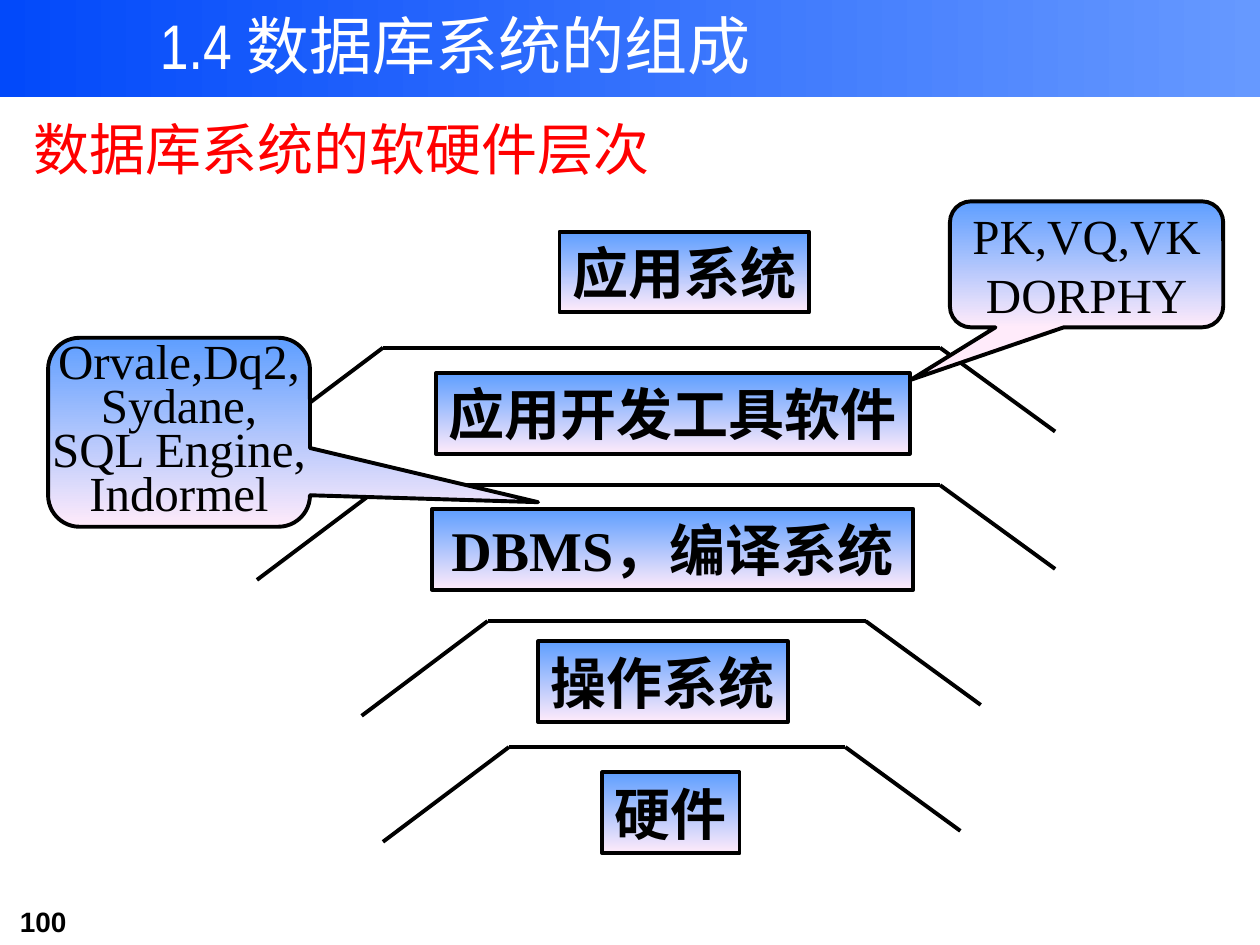
import pptx
import pptx.util
import pptx.dml.color
import pptx.enum.shapes
import pptx.enum.text
import pptx.oxml
import pptx.oxml.ns

Cm, Pt = pptx.util.Cm, pptx.util.Pt
SHAPE = pptx.enum.shapes.MSO_SHAPE
ALIGN = pptx.enum.text.PP_ALIGN
ANCHOR = pptx.enum.text.MSO_ANCHOR

COLORS = {"black": "000000", "white": "FFFFFF", "red": "FF0000",
          "band_left": "0249FA", "band_right": "6699FF",
          "box_top": "5E9EFF", "box_bottom": "FFEBFA"}
SERIF, CJK = "Times New Roman", "Noto Sans CJK SC"

TITLE = "1.4 数据库系统的组成"
SUBTITLE = "数据库系统的软硬件层次"
PAGE = "100"
LAYERS = [
    ("硬件", 12.14, 15.57, 2.77),
    ("操作系统", 10.85, 12.93, 5.03),
    ("DBMS，编译系统", 8.71, 10.26, 9.7),
    ("应用开发工具软件", 8.79, 7.52, 9.55),
    ("应用系统", 11.28, 4.67, 5.03),
]
LAYER_HEIGHT = 1.63
ROOFS = [(10.26, 17.04, 15.06), (9.83, 17.45, 12.52),
         (7.72, 18.95, 9.78), (7.72, 18.95, 7.01)]
LEFT_SLOPE, RIGHT_SLOPE = (-2.54, 1.91), (2.32, 1.69)
CALLOUTS = [
    (["PK,VQ,VK", "DORPHY"], (19.15, 4.06, 5.51, 2.54), (-0.644, 0.917, 0.167), 1.0),
    (["Orvale,Dq2,", "Sydane,", "SQL Engine,", "Indormel"],
     (0.97, 6.81, 5.28, 3.81), (1.371, 0.37, 0.167), 0.75),
]


def rgb(name):
    return pptx.dml.color.RGBColor.from_string(COLORS[name])


def shade(shape, start, end, angle):
    shape.shadow.inherit = False
    shape.fill.gradient()
    shape.fill.gradient_angle = angle
    for stop, name in zip(shape.fill.gradient_stops, (start, end)):
        stop.color.rgb = rgb(name)


def write(shape, lines, size, font=SERIF, color="black", bold=False,
          align=ALIGN.LEFT, anchor=ANCHOR.TOP, wrap=False, spacing=None):
    tf = shape.text_frame
    tf.text = "\n".join(lines)
    tf.word_wrap = wrap
    tf.auto_size = pptx.enum.text.MSO_AUTO_SIZE.NONE
    tf.vertical_anchor = anchor
    for p in tf.paragraphs:
        p.alignment = align
        p.line_spacing = spacing
        for r in p.runs:
            r.font.size, r.font.name, r.font.bold = Pt(size), font, bold
            r.font.color.rgb = rgb(color)
            ea = pptx.oxml.parse_xml(
                f'<a:ea {pptx.oxml.ns.nsdecls("a")} typeface="{CJK}"/>')
            r.font._element.append(ea)


def add_box(s, kind, place):
    sp = s.shapes.add_shape(kind, *map(Cm, place))
    shade(sp, "box_top", "box_bottom", 270)
    sp.line.color.rgb = rgb("black")
    sp.line.width = Pt(2.25)
    return sp


def add_line(s, x1, y1, x2, y2):
    line = s.shapes.add_connector(
        pptx.enum.shapes.MSO_CONNECTOR.STRAIGHT, Cm(x1), Cm(y1), Cm(x2), Cm(y2))
    line.line.color.rgb = rgb("black")
    line.line.width = Pt(2.25)
    line._element.spPr.append(
        pptx.oxml.parse_xml(f'<a:effectLst {pptx.oxml.ns.nsdecls("a")}/>'))


def add_header(s):
    band = s.shapes.add_shape(SHAPE.RECTANGLE, 0, 0, Cm(25.4), Cm(1.96))
    shade(band, "band_left", "band_right", 0)
    band.line.fill.background()
    s.shapes._spTree.insert(2, band._element)
    title = s.shapes.title
    title.left, title.top, title.width, title.height = map(Cm, (2.97, 0, 17.35, 1.78))
    write(title, [TITLE], 36, font="Arial Narrow", color="white", wrap=True)
    page = s.shapes.add_textbox(Cm(0.15), Cm(18.11), Cm(3.1), Cm(0.94))
    write(page, [PAGE], 16, font="Arial", bold=True, wrap=True)


def main():
    """Build the slide on the layers of a database system."""
    prs = pptx.Presentation()
    prs.slide_width, prs.slide_height = Cm(25.4), Cm(19.05)
    s = prs.slides.add_slide(prs.slide_layouts[5])
    add_header(s)
    for text, x, y, width in LAYERS:
        sp = add_box(s, SHAPE.RECTANGLE, (x, y, width, LAYER_HEIGHT))
        write(sp, [text], 32, bold=True, align=ALIGN.CENTER, anchor=ANCHOR.MIDDLE)
    for left, right, y in ROOFS:
        add_line(s, left, y, right, y)
        for x, (dx, dy) in ((left, LEFT_SLOPE), (right, RIGHT_SLOPE)):
            add_line(s, x, y, x + dx, y + dy)
    for lines, place, adjustments, spacing in CALLOUTS:
        sp = add_box(s, SHAPE.ROUNDED_RECTANGULAR_CALLOUT, place)
        for i, value in enumerate(adjustments):
            sp.adjustments[i] = value
        write(sp, lines, 28, align=ALIGN.CENTER, anchor=ANCHOR.MIDDLE, spacing=spacing)
    subtitle = s.shapes.add_textbox(Cm(0.43), Cm(2.18), Cm(12.93), Cm(1.63))
    write(subtitle, [SUBTITLE], 32, color="red")
    prs.save("out.pptx")


if __name__ == "__main__":
    main()
